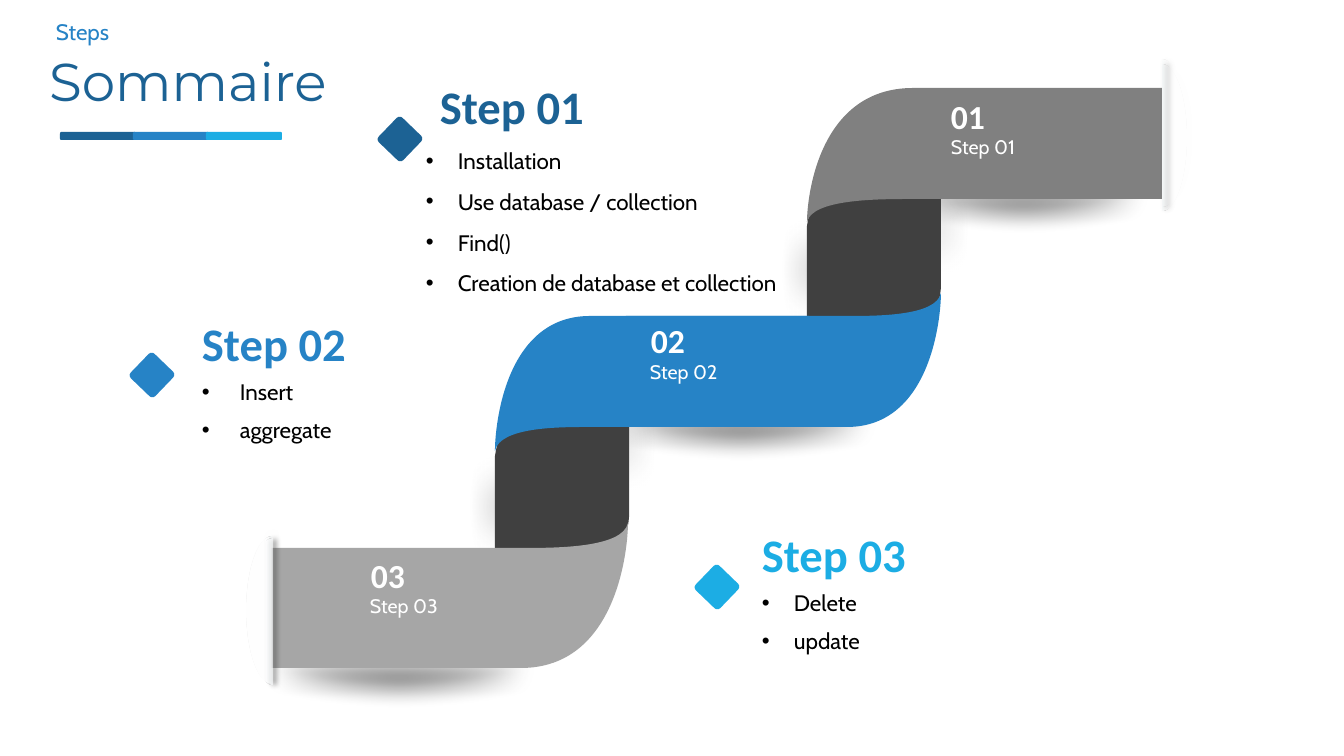
from lxml.etree import SubElement
from pptx import Presentation
from pptx.dml.color import RGBColor
from pptx.enum.shapes import MSO_SHAPE as Preset
from pptx.enum.text import MSO_ANCHOR as Anchor, MSO_AUTO_SIZE as AutoSize, PP_ALIGN as Align
from pptx.oxml.ns import qn
from pptx.util import Pt

PX = 914400 / 100.8
NAVY, BLUE, CYAN = "1C6294", "2683C6", "1CADE4"
WHITE, BLACK, DARK = "FFFFFF", "000000", "404040"

# Content: heading box, list box, diamond corner, list indent, line spacing, anchor
steps = [
    dict(name="Step 01", color=NAVY, heading=(430, 84, 244, 55), bullets=(416, 142, 472, 169),
         diamond=(383, 122), indent=32, spacing=1.0, anchor=Anchor.TOP,
         number="01", number_at=(941, 95), label_at=(941, 133),
         topics=["Installation", "Use database / collection", "Find()",
                 "Creation de database et collection"]),
    dict(name="Step 02", color=BLUE, heading=(192, 321, 244, 55), bullets=(192, 376, 192, 100),
         diamond=(135, 358), indent=38, spacing=0.9, anchor=Anchor.MIDDLE,
         number="02", number_at=(641, 320), label_at=(640, 358),
         topics=["Insert", "aggregate"]),
    dict(name="Step 03", color=CYAN, heading=(752, 532, 244, 55), bullets=(752, 587, 291, 99),
         diamond=(700, 570), indent=32, spacing=0.9, anchor=Anchor.MIDDLE,
         number="03", number_at=(361, 554), label_at=(360, 592),
         topics=["Delete", "update"]),
]
# Soft shadows: x, y, width, height, rotation
shadows = [
    (756, 201, 376, 52, 270), (443, 417, 376, 52, 270), (517, 399, 449, 64, 0),
    (342, 479, 306, 55, 90), (654, 242, 306, 55, 90), (507, 590, 180, 64, 302.5),
    (821, 354, 176, 64, 294), (175, 646, 449, 64, 0), (809, 172, 428, 64, 0),
]
folds = [(807, 167), (495, 397)]
# Ribbons: tip x, bend x, flat end x, far edge y, near edge y, tip y, colour
ribbons = [
    (628, 521, 271, 668, 548, 523, "A6A6A6"), (495, 590, 809, 316, 427, 451, BLUE),
    (941, 847, 626, 427, 316, 293, BLUE), (807, 913, 1162, 88, 199, 222, "808080"),
]
# Ribbon ends: flat x, top y, bulge, gradient angle, stops, shadow (colour, alpha, direction)
ends = [
    (1162, 65, 24, 180, [(4, WHITE, 8), (71, WHITE, 0), (91, "F9FBFC", 70)], (WHITE, 40, 315)),
    (1162, 60, 24, 180, [(0, WHITE, 0), (71, WHITE, 0), (91, "F9FBFC", 28)], (BLACK, 60, 45)),
    (271, 537, -24, 0, [(4, WHITE, 15), (71, WHITE, 0), (91, "F9FBFC", 70)], (WHITE, 40, 315)),
    (272, 539, -24, 0, [(4, WHITE, 0), (71, WHITE, 0), (91, "F9FBFC", 70)], (BLACK, 60, 0)),
]

deck = Presentation()
deck.slide_width, deck.slide_height = round(1344 * PX), round(756 * PX)
slide = deck.slides.add_slide(deck.slide_layouts[5])
shapes = slide.shapes


def rgb(color):
    return RGBColor.from_string(color)


def emu(*lengths):
    return [round(length * PX) for length in lengths]


def paint(shape, color):
    shape.shadow.inherit = False
    shape.fill.solid()
    shape.fill.fore_color.rgb = rgb(color)
    shape.line.fill.background()
    return shape


def outline(start, segments, color):
    """Closed outline; a segment has one point for a line, three for a curve."""
    builder = shapes.build_freeform(*emu(*start), scale=1.0)
    builder.add_line_segments([emu(*p) for segment in segments for p in segment], close=True)
    shape = builder.convert_to_shape()
    steps_drawn = iter(list(shape._element.iter(qn("a:lnTo"))))
    for segment in segments:
        first, *others = [next(steps_drawn) for _ in segment]
        if others:
            first.tag = qn("a:cubicBezTo")
            for other in others:
                first.append(other[0])
                other.getparent().remove(other)
    return paint(shape, color)


def half_disc(place, width, depth):
    """Half ellipse; place maps (along the flat side, away from it) to the slide."""
    mid, k = width / 2, 0.45
    curves = [[(width, k * 1.22 * depth), (mid * 1.55, depth), (mid, depth)],
              [(mid * k, depth), (0, k * 1.22 * depth), (0, 0)]]
    return place(width, 0), [[place(*p) for p in curve] for curve in curves]


def add_color(parent, color, alpha):
    tint = SubElement(parent, qn("a:srgbClr"), val=color)
    SubElement(tint, qn("a:alpha"), val=str(alpha * 1000))


def effects(shape):
    return shape._element.spPr.find(qn("a:effectLst"))


def write(frame, lines, size, font, color, bold=False, spacing=1.0, before=0,
          anchor=Anchor.TOP, indent=0):
    frame.word_wrap = True
    frame.auto_size = AutoSize.NONE
    frame.vertical_anchor = anchor
    for i, line in enumerate(lines):
        para = frame.paragraphs[0] if i == 0 else frame.add_paragraph()
        if indent:
            props = para._p.get_or_add_pPr()
            props.set("marL", str(round(indent * PX)))
            props.set("indent", str(-round(indent * PX)))
            SubElement(props, qn("a:buFont"), typeface="Arial")
            SubElement(props, qn("a:buChar"), char="•")
        para.alignment = Align.LEFT
        para.line_spacing = spacing
        if i:
            para.space_before = Pt(before)
        run = para.add_run()
        run.text = line
        run.font.size, run.font.name, run.font.bold = Pt(size), font, bold
        run.font.color.rgb = rgb(color)


def add_text(box, lines, *style, **options):
    write(shapes.add_textbox(*emu(*box)).text_frame, lines, *style, **options)


# Soft shadows under the ribbon
for x, y, w, h, turn in shadows:
    shadow = outline(*half_disc(lambda along, away: (x + along, y + away), w, h), BLACK)
    shadow.rotation = turn
    tint = shadow._element.spPr.find(qn("a:solidFill"))[0]
    SubElement(tint, qn("a:alpha"), val="74000")
    SubElement(effects(shadow), qn("a:softEdge"), rad=str(round(25 * PX)))

# Dark folds
for x, y in folds:
    fold = [[(0, 182)], [(0, 59)], [(8, 0), (64, 2), (94, 2)],
            [(134, 2)], [(134, 120)], [(129, 184), (71, 182), (41, 182)]]
    outline((x + 41, y + 182), [[(x + dx, y + dy) for dx, dy in part] for part in fold], DARK)

# Ribbons
for tip_x, bend, flat, far, near, tip_y, color in ribbons:
    reach = bend - tip_x
    tip = (tip_x, tip_y)
    outline((bend, far), [
        [(flat, far)], [(flat, near)], [(bend, near)],
        [(bend - 0.33 * reach, near), (tip_x + 0.05 * reach, near), tip],
        [(tip_x, near), (tip_x + 0.1 * reach, far), (bend, far)],
    ], color)

# Numbers and labels on the ribbon
for step in steps:
    add_text((*step["number_at"], 59, 51), [step["number"]], 24, "Calibri", WHITE,
             bold=True, spacing=0.9)
    add_text((*step["label_at"], 161, 59), [step["name"]], 14, "Cabin", WHITE, spacing=0.9)

# Shaded ribbon ends
for x, y, bulge, angle, stops, (shade, alpha, direction) in ends:
    end = outline(*half_disc(lambda along, away: (x + away, y + along), 146, bulge), WHITE)
    end.fill.gradient()
    end.fill.gradient_angle = angle
    stop_list = end._element.spPr.find(qn("a:gradFill")).find(qn("a:gsLst"))
    for old in list(stop_list):
        stop_list.remove(old)
    for position, color, opacity in stops:
        add_color(SubElement(stop_list, qn("a:gs"), pos=str(position * 1000)), color, opacity)
    cast = SubElement(effects(end), qn("a:outerShdw"), blurRad=str(Pt(4)), dist=str(Pt(3)),
                      dir=str(direction * 60000), algn="ctr", rotWithShape="0")
    add_color(cast, shade, alpha)

# Title, accent bar and caption
title = shapes.title
title.left, title.top, title.width, title.height = emu(39, 51, 352, 115)
write(title.text_frame, ["Sommaire"], 38, "Montserrat", NAVY, spacing=0.9)
for i, color in enumerate((NAVY, BLUE, CYAN)):
    paint(shapes.add_shape(Preset.ROUNDED_RECTANGLE, *emu(60 + 73 * i, 132, 76, 8)), color)
add_text((46, 16, 291, 38), ["Steps"], 16, "Cabin", BLUE, spacing=0.9)

# Step headings, diamonds and topics
for step in steps:
    add_text(step["bullets"], step["topics"], 16, "Cabin", BLACK, spacing=step["spacing"],
             before=10, indent=step["indent"])
    diamond = paint(shapes.add_shape(Preset.ROUNDED_RECTANGLE, *emu(*step["diamond"], 34, 34)),
                    step["color"])
    diamond.adjustments[0] = 0.12
    diamond.rotation = 43.9
    add_text(step["heading"], [step["name"]], 33.3, "Calibri", step["color"], bold=True,
             spacing=0.8, anchor=step["anchor"])

deck.save("out.pptx")
